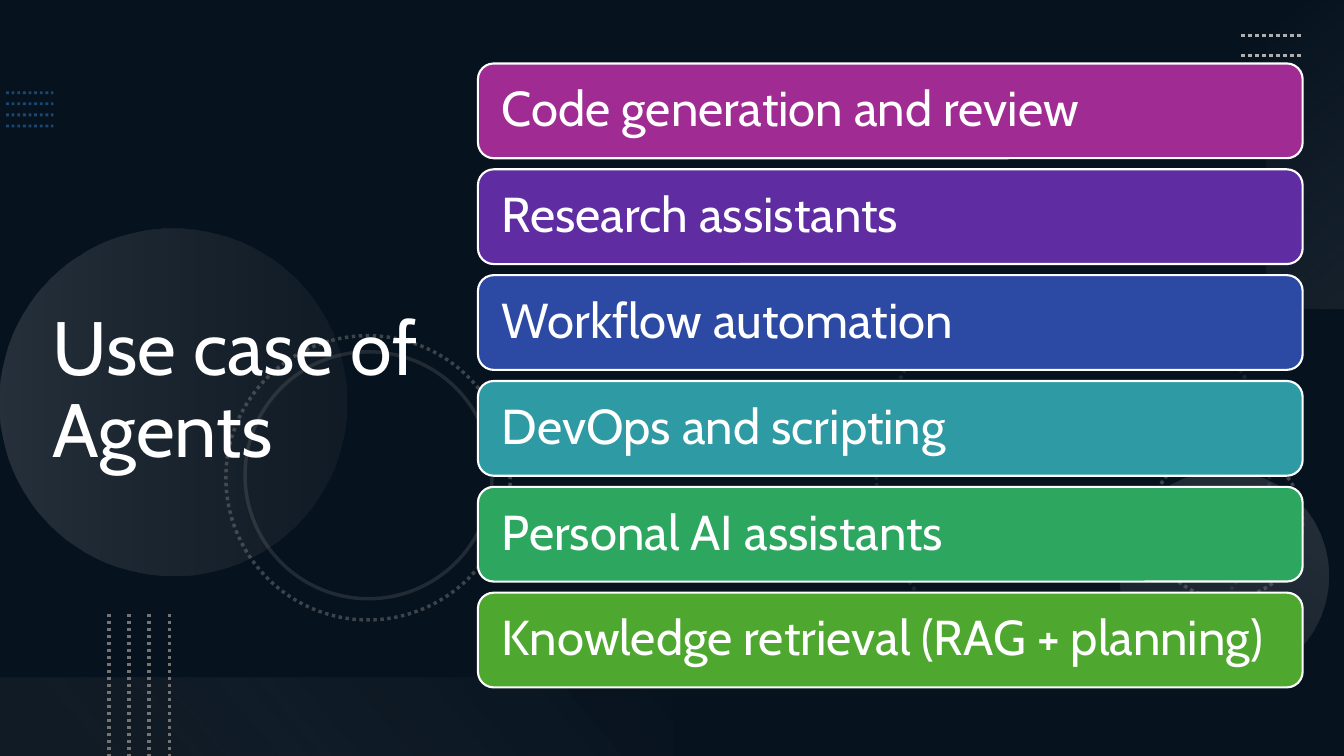
"""Build the slide listing use cases of agents."""
import pptx
import pptx.dml.color
import pptx.enum.dml
import pptx.enum.shapes
import pptx.enum.text
import pptx.oxml.ns
import pptx.util
from lxml import etree

TITLE = "Use case of Agents"
USES = [
    ("Code generation and review", "A02B93"),
    ("Research assistants", "5F2CA1"),
    ("Workflow automation", "2C49A3"),
    ("DevOps and scripting", "2D9AA4"),
    ("Personal AI assistants", "2DA65F"),
    ("Knowledge retrieval (RAG + planning)", "4EA72E"),
]
THEME = {
    "font": "Cabin", "title": 54, "body": 35,
    "back": "0E2841", "shade": "000000", "white": "FFFFFF",
    "blue": "2D7FCF", "grey": "747474", "silver": "AEAEAE",
    "pale": "F6F6F6", "mist": "F1F1F1",
}
W, H = 13.33, 7.5
BAR = {"left": 4.74, "top": 0.63, "width": 8.18, "height": 0.94, "pitch": 1.05, "inset": 0.19}
RINGS = [
    (8.69, 2.74, 3.9, True, 20),
    (11.41, 4.43, 1.51, True, 50),
    (2.24, 3.33, 2.82, True, 50),
    (2.43, 3.49, 2.45, False, 25),
]
GLOWS = [
    ("OVAL", (0, 2.27, 3.44, 3.44), 270, 90, [(0, "silver", 20), (1, "grey", 10)]),
    ("OVAL", (11.1, 4.67, 2.08, 2.08), 210, 90, [(0, "silver", 10), (1, "silver", 20)]),
    ("RECTANGLE", (11.42, 1.14, 3.06, 0.78), 270, 140, [(0, "pale", 0), (1, "silver", 10)]),
    ("RECTANGLE", (0, 6.72, W / 2, 0.78), 180, 140, [(0.1, "grey", 10), (1, "mist", 0)]),
]
DOT_ROWS = [
    ((0.06, 0.92), (0.47, 0), (0, 0.11), "blue", 2, 50),
    ((12.31, 0.35), (0.6, 0), (0, 0.2), "silver", 2.5, 100),
    ((1.08, 6.09), (0, 1.41), (0.2, 0), "grey", 2.5, 100),
]
DOT_LINES = 4

SHAPES = pptx.enum.shapes.MSO_SHAPE
DOTTED = pptx.enum.dml.MSO_LINE.ROUND_DOT
qn = pptx.oxml.ns.qn


def inches(*values):
    return [pptx.util.Inches(v) for v in values]


def rgb(value):
    return pptx.dml.color.RGBColor.from_string(THEME.get(value, value))


def fade(parent, opacities):
    for color, opacity in zip(list(parent.iter(qn("a:srgbClr"))), opacities):
        if opacity < 100:
            etree.SubElement(color, qn("a:alpha")).set("val", str(opacity * 1000))


def style_line(sp, color, width, dotted=False, opacity=100):
    sp.line.color.rgb = rgb(color)
    sp.line.width = pptx.util.Pt(width)
    if dotted:
        sp.line.dash_style = DOTTED
    fade(sp.element.spPr.find(qn("a:ln")), [opacity])


def add_shape(s, kind, box, rotation=0):
    sp = s.shapes.add_shape(kind, *inches(*box))
    sp.shadow.inherit = False
    sp.rotation = rotation
    return sp


def add_shade(s):
    sp = add_shape(s, SHAPES.RECTANGLE, (0, 0, W, H))
    sp.fill.solid()
    sp.fill.fore_color.rgb = rgb("shade")
    fade(sp.element.spPr, [53])
    sp.line.fill.background()


def add_glow(s, kind, box, rotation, angle, stops):
    sp = add_shape(s, getattr(SHAPES, kind), box, rotation)
    sp.fill.gradient()
    sp.fill.gradient_angle = 360 - angle
    for stop, (position, color, _) in zip(sp.fill.gradient_stops, stops):
        stop.position = position
        stop.color.rgb = rgb(color)
    fade(sp.element.spPr, [opacity for _, _, opacity in stops])
    sp.line.fill.background()


def add_ring(s, left, top, size, dotted, opacity):
    sp = add_shape(s, SHAPES.OVAL, (left, top, size, size), 75)
    sp.fill.background()
    style_line(sp, "grey", 2.5, dotted, opacity)


def add_dots(s, start, span, step, color, width, opacity):
    for i in range(DOT_LINES):
        x, y = (a + i * d for a, d in zip(start, step))
        ends = inches(x, y, x + span[0], y + span[1])
        c = s.shapes.add_connector(pptx.enum.shapes.MSO_CONNECTOR.STRAIGHT, *ends)
        style_line(c, color, width, True, opacity)
        etree.SubElement(c.element.spPr, qn("a:effectLst"))


def write(tf, text, size):
    tf.word_wrap = True
    tf.vertical_anchor = pptx.enum.text.MSO_ANCHOR.MIDDLE
    p = tf.paragraphs[0]
    p.alignment = pptx.enum.text.PP_ALIGN.LEFT
    p.line_spacing = 0.9
    r = p.add_run()
    r.text = text
    r.font.size = pptx.util.Pt(size)
    r.font.name = THEME["font"]
    r.font.color.rgb = rgb("white")


def add_title(s):
    title = s.shapes.title
    title.left, title.top, title.width, title.height = inches(0.42, 2.95, 3.9, 1.88)
    title.text_frame.auto_size = pptx.enum.text.MSO_AUTO_SIZE.NONE
    write(title.text_frame, TITLE, THEME["title"])
    s.shapes.element.append(title.element)


def add_bar(s, row, text, color):
    top = BAR["top"] + row * BAR["pitch"]
    sp = add_shape(s, SHAPES.ROUNDED_RECTANGLE, (BAR["left"], top, BAR["width"], BAR["height"]))
    sp.fill.solid()
    sp.fill.fore_color.rgb = rgb(color)
    style_line(sp, "white", 1.5)
    tf = sp.text_frame
    tf.margin_left = tf.margin_right = pptx.util.Inches(BAR["inset"])
    write(tf, text, THEME["body"])


def main():
    prs = pptx.Presentation()
    prs.slide_width, prs.slide_height = inches(W, H)
    s = prs.slides.add_slide(prs.slide_layouts[5])
    s.background.fill.solid()
    s.background.fill.fore_color.rgb = rgb("back")
    add_shade(s)
    for glow in GLOWS:
        add_glow(s, *glow)
    for ring in RINGS:
        add_ring(s, *ring)
    for dots in DOT_ROWS:
        add_dots(s, *dots)
    add_title(s)
    for row, (text, color) in enumerate(USES):
        add_bar(s, row, text, color)
    prs.save("out.pptx")


if __name__ == "__main__":
    main()
